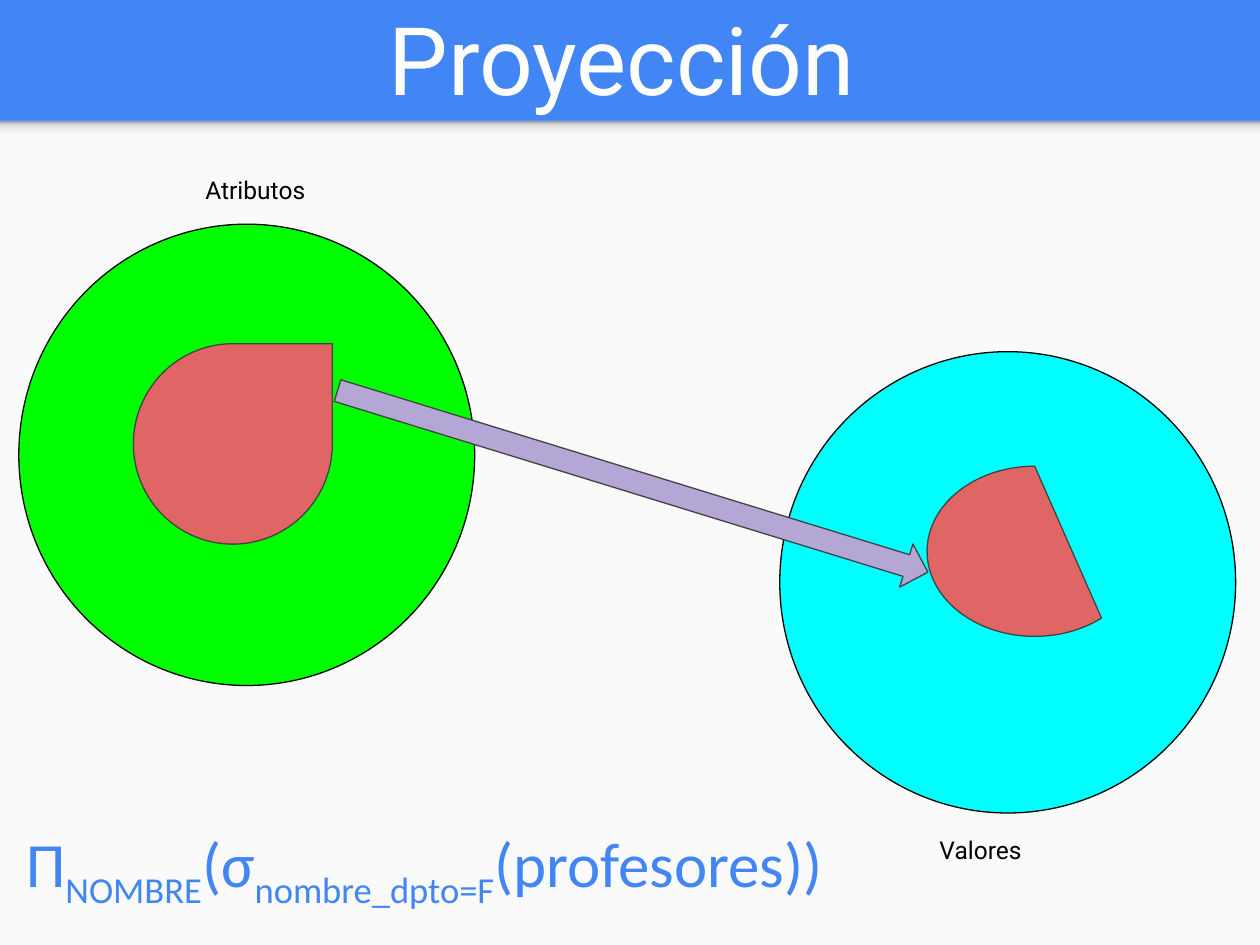
"""Builds the slide on relational projection, from attributes to values."""
import pptx
import pptx.dml.color
import pptx.enum.shapes
import pptx.enum.text
import pptx.oxml
import pptx.oxml.ns
import pptx.util

Cm = pptx.util.Cm
SHAPES = pptx.enum.shapes.MSO_SHAPE
ANCHOR = pptx.enum.text.MSO_ANCHOR
ALIGN = pptx.enum.text.PP_ALIGN

THEME = {
    "blue": "4285F4", "paper": "FAFAFA", "white": "FFFFFF", "black": "000000",
    "green": "00FF00", "cyan": "00FFFF", "red": "E06666", "lilac": "B4A7D6",
    "outline": "424242", "font": "Roboto", "formula_font": "Calibri",
    "title_size": 54, "label_size": 14, "formula_size": 36, "line_width": 0.75,
    "shadow_stops": [(0, "F9F9F9"), (36, "F9F9F9"), (80, "DEDEDE"), (100, "999999")],
}

WIDTH, HEIGHT, BANNER = 25.4, 19.05, 2.44
SET_SIZE = (9.19, 9.3)

TITLE = ("Proyección", (0.28, 0.05, 24.51, 2.24))
LABELS = [
    ("Atributos", (3.89, 3.28, 2.67, 1.47)),
    ("Valores", (18.69, 16.59, 2.21, 1.47)),
]
FORMULA_BOX = (0.28, 16.38, 18.36, 2.24)
FORMULA = [
    ("Π", False), ("NOMBRE", True), ("(σ", False),
    ("nombre_dpto=F", True), ("(profesores))", False),
]
DIAGRAM = [
    (SHAPES.OVAL, (0.38, 4.52, *SET_SIZE), "green", "black", 0, []),
    (SHAPES.OVAL, (15.72, 7.09, *SET_SIZE), "cyan", "black", 0, []),
    (SHAPES.RIGHT_ARROW, (6.53, 9.25, 12.45, 0.91), "lilac", "outline", 17.1, [0.5, 0.5]),
    (SHAPES.TEAR, (2.69, 6.93, 4.01, 4.04), "red", "outline", 0, [1]),
    (SHAPES.CHORD, (18.69, 9.4, 4.34, 3.43), "red", "outline", 0, [27, 162]),
]


def rgb(name):
    return pptx.dml.color.RGBColor.from_string(THEME[name])


def lengths(box):
    return [Cm(value) for value in box]


def style(paragraph, font, size, colour):
    paragraph.font.name = THEME[font]
    paragraph.font.size = pptx.util.Pt(THEME[size])
    paragraph.font.color.rgb = rgb(colour)


def add_figure(slide, kind, box, fill, outline=None, rotation=0, adjustments=()):
    figure = slide.shapes.add_shape(kind, *lengths(box))
    figure.shadow.inherit = False
    figure.rotation = rotation
    for index, value in enumerate(adjustments):
        figure.adjustments[index] = value
    figure.fill.solid()
    figure.fill.fore_color.rgb = rgb(fill)
    if outline:
        figure.line.color.rgb = rgb(outline)
        figure.line.width = pptx.util.Pt(THEME["line_width"])
    else:
        figure.line.fill.background()
    return figure


def add_banner_shadow(slide):
    strip = add_figure(slide, SHAPES.RECTANGLE, (0, BANNER, WIDTH, 0.41), "paper")
    strip.fill.gradient()
    strip.fill.gradient_angle = 90
    stops = strip.element.spPr.find(".//" + pptx.oxml.ns.qn("a:gsLst"))
    for stop in list(stops):
        stops.remove(stop)
    for position, colour in THEME["shadow_stops"]:
        stops.append(pptx.oxml.parse_xml(
            f'<a:gs {pptx.oxml.ns.nsdecls("a")} pos="{position * 1000}">'
            f'<a:srgbClr val="{colour}"/></a:gs>'))


def add_text(slide, box):
    frame = slide.shapes.add_textbox(*lengths(box)).text_frame
    frame.word_wrap = True
    frame.margin_left = frame.margin_right = Cm(0.25)
    frame.margin_top = frame.margin_bottom = Cm(0.25)
    return frame.paragraphs[0]


def set_title(slide):
    words, box = TITLE
    title = slide.shapes.title
    title.left, title.top, title.width, title.height = lengths(box)
    frame = title.text_frame
    frame.text = words
    frame.auto_size = pptx.enum.text.MSO_AUTO_SIZE.NONE
    frame.vertical_anchor = ANCHOR.MIDDLE
    frame.paragraphs[0].alignment = ALIGN.CENTER
    style(frame.paragraphs[0], "font", "title_size", "white")


def main():
    deck = pptx.Presentation()
    deck.slide_width, deck.slide_height = Cm(WIDTH), Cm(HEIGHT)
    slide = deck.slides.add_slide(deck.slide_layouts[5])
    slide.background.fill.solid()
    slide.background.fill.fore_color.rgb = rgb("blue")

    add_figure(slide, SHAPES.RECTANGLE, (0, BANNER, WIDTH, HEIGHT - BANNER), "paper")
    add_banner_shadow(slide)
    set_title(slide)
    for figure in DIAGRAM:
        add_figure(slide, *figure)
    for words, box in LABELS:
        label = add_text(slide, box)
        label.text = words
        style(label, "font", "label_size", "black")

    formula = add_text(slide, FORMULA_BOX)
    style(formula, "formula_font", "formula_size", "blue")
    for words, is_subscript in FORMULA:
        run = formula.add_run()
        run.text = words
        if is_subscript:
            run.font._element.set("baseline", "-25000")

    deck.save("out.pptx")


if __name__ == "__main__":
    main()
